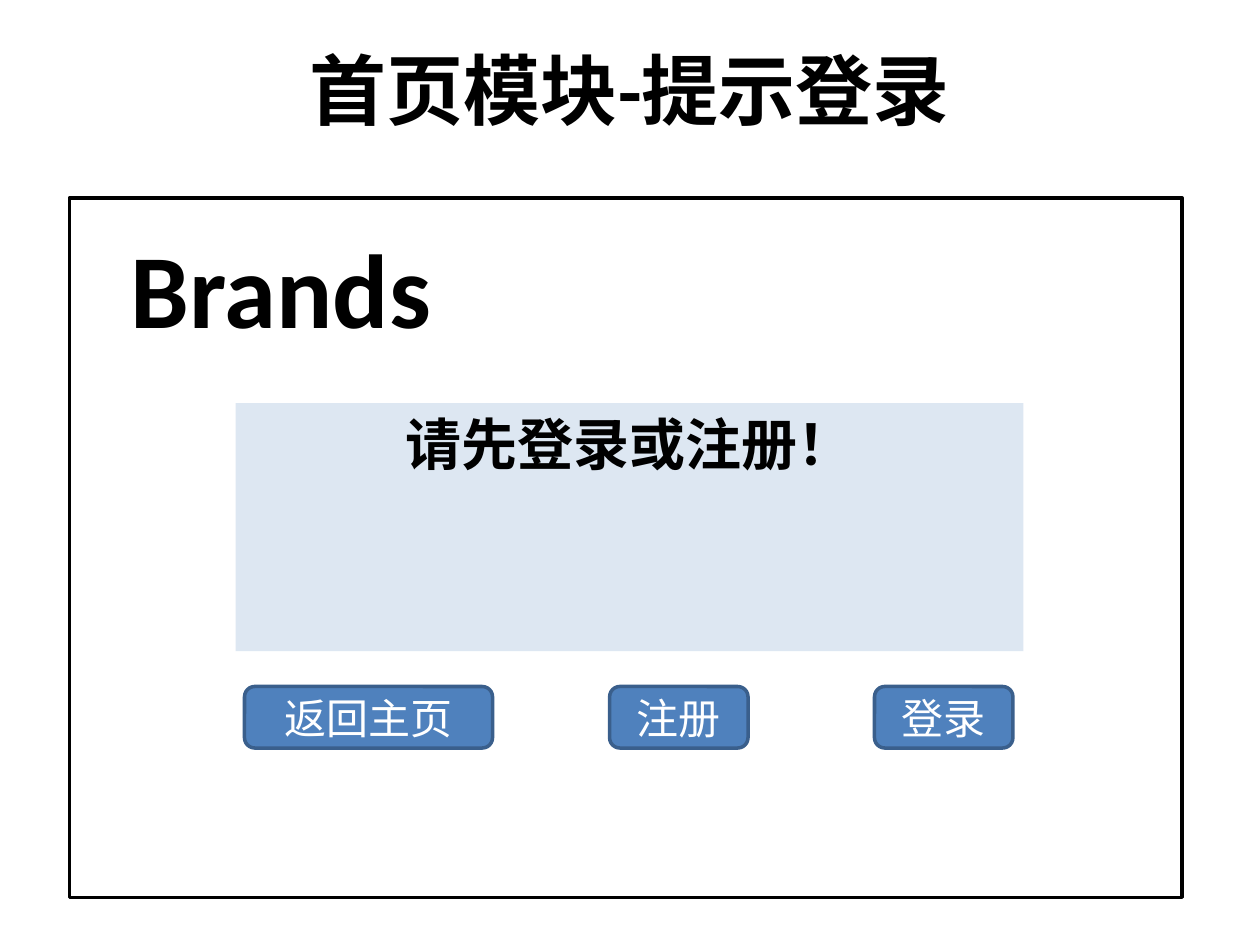
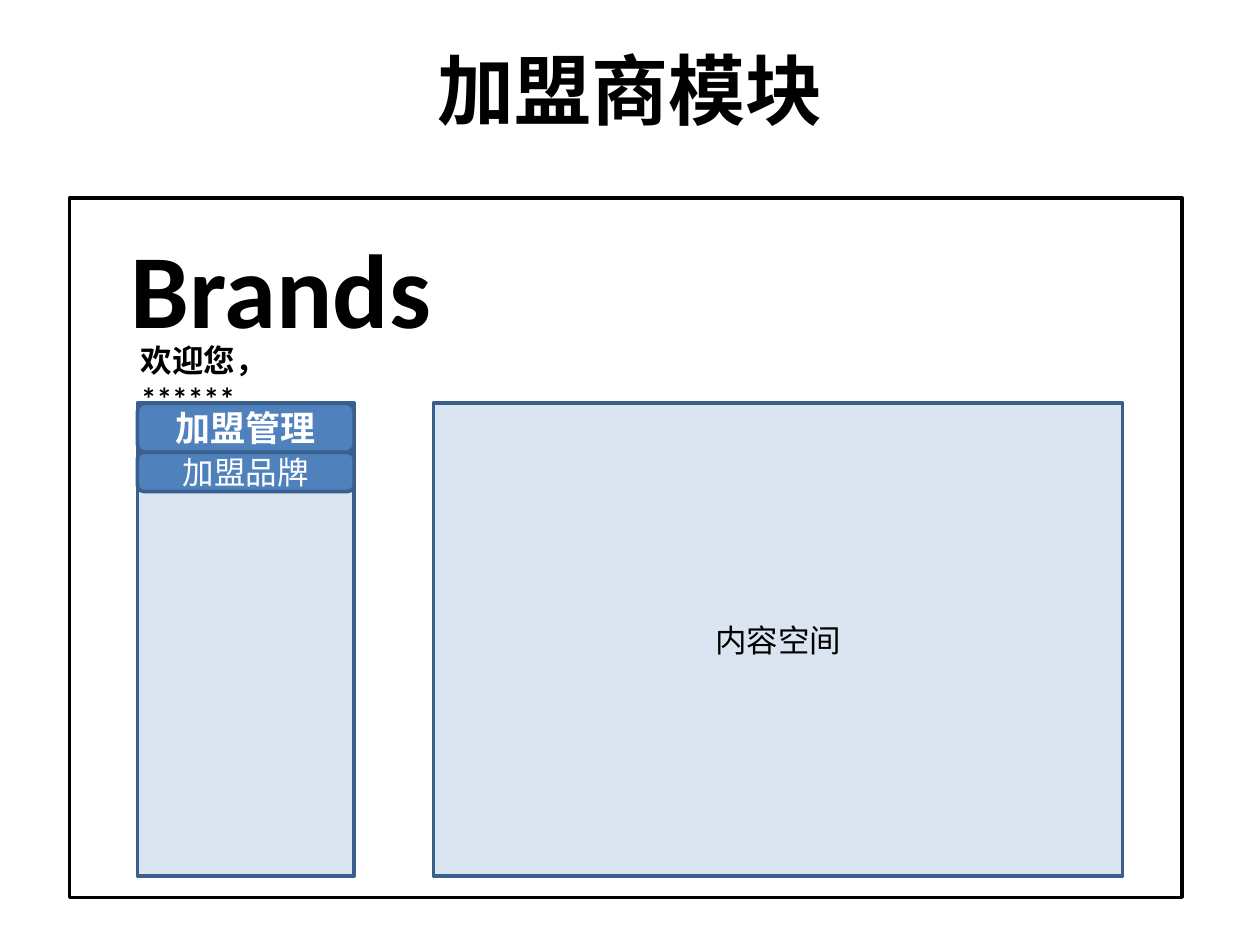
"""Build two wireframe slides for a brand franchise website."""
from dataclasses import dataclass

from lxml import etree
from pptx import Presentation
from pptx.dml.color import RGBColor
from pptx.enum.shapes import MSO_SHAPE
from pptx.enum.text import MSO_ANCHOR, PP_ALIGN
from pptx.oxml.ns import qn
from pptx.util import Cm, Pt

RECTANGLE = MSO_SHAPE.RECTANGLE
ROUNDED = MSO_SHAPE.ROUNDED_RECTANGLE
TOP, MIDDLE = MSO_ANCHOR.TOP, MSO_ANCHOR.MIDDLE
LEFT, CENTER = PP_ALIGN.LEFT, PP_ALIGN.CENTER

BLACK = RGBColor(0x00, 0x00, 0x00)
WHITE = RGBColor(0xFF, 0xFF, 0xFF)
BLUE = RGBColor(0x4F, 0x81, 0xBD)
DARK_BLUE = RGBColor(0x3A, 0x5F, 0x8C)
FONT = "Calibri"
LINE_WIDTH = Pt(2)
TITLE_ONLY = 5


@dataclass(frozen=True)
class Area:
    """Position and size in centimetres."""
    left: float
    top: float
    width: float
    height: float

    def lengths(self) -> tuple:
        """Return the four values as lengths."""
        return Cm(self.left), Cm(self.top), Cm(self.width), Cm(self.height)


@dataclass(frozen=True)
class Label:
    """Text with its look and placement."""
    text: str
    size: int
    bold: bool = False
    color: RGBColor = BLACK
    align: PP_ALIGN = CENTER
    anchor: MSO_ANCHOR = MIDDLE


@dataclass(frozen=True)
class Box:
    """A filled or outlined shape that may carry a label."""
    area: Area
    kind: MSO_SHAPE = RECTANGLE
    fill: RGBColor | None = None
    opacity: int = 100
    line: RGBColor | None = DARK_BLUE
    label: Label | None = None


TITLE_AREA = Area(1.27, 0.2, 22.86, 3.18)
BRAND_AREA = Area(2.39, 4.39, 7.34, 2.82)
BRAND = Label("Brands", 60, True, align=LEFT, anchor=TOP)
FRAME = Box(Area(1.4, 3.99, 22.43, 14.1), line=BLACK)
PANEL_TOP, PANEL_HEIGHT = 8.13, 9.53
MENU_LEFT, MENU_WIDTH = 2.77, 4.37
BUTTON_TOP, BUTTON_HEIGHT = 13.84, 1.24


def write_label(text_frame, label: Label) -> None:
    """Write one formatted run into a text frame."""
    text_frame.word_wrap = True
    text_frame.vertical_anchor = label.anchor
    paragraph = text_frame.paragraphs[0]
    paragraph.alignment = label.align
    run = paragraph.add_run()
    run.text = label.text
    run.font.name = FONT
    run.font.size = Pt(label.size)
    run.font.bold = label.bold
    run.font.color.rgb = label.color


def add_box(slide, box: Box) -> None:
    """Draw a box with its fill, outline and label."""
    shape = slide.shapes.add_shape(box.kind, *box.area.lengths())
    shape.shadow.inherit = False
    if box.fill is None:
        shape.fill.background()
    else:
        shape.fill.solid()
        shape.fill.fore_color.rgb = box.fill
        if box.opacity < 100:
            color = shape.fill._xPr.find(qn("a:solidFill"))[0]
            etree.SubElement(color, qn("a:alpha"), val=str(box.opacity * 1000))
    if box.line is None:
        shape.line.fill.background()
    else:
        shape.line.color.rgb = box.line
        shape.line.width = LINE_WIDTH
    if box.label:
        write_label(shape.text_frame, box.label)


def add_text(slide, area: Area, label: Label, margin_right: float = 0.25) -> None:
    """Add a text box with a given right margin in centimetres."""
    text_frame = slide.shapes.add_textbox(*area.lengths()).text_frame
    text_frame.margin_right = Cm(margin_right)
    write_label(text_frame, label)


def button(area: Area, text: str, size: int, bold: bool = False) -> Box:
    """Describe a blue rounded button."""
    return Box(area, ROUNDED, BLUE, label=Label(text, size, bold, WHITE))


def panel(left: float, width: float, label: Label | None = None) -> Box:
    """Describe a pale outlined panel."""
    area = Area(left, PANEL_TOP, width, PANEL_HEIGHT)
    return Box(area, fill=BLUE, opacity=20, label=label)


def add_page(presentation, title: str):
    """Add a slide with its title, brand name and page frame."""
    slide = presentation.slides.add_slide(presentation.slide_layouts[TITLE_ONLY])
    placeholder = slide.shapes.title
    (placeholder.left, placeholder.top,
     placeholder.width, placeholder.height) = TITLE_AREA.lengths()
    write_label(placeholder.text_frame, Label(title, 44, True))
    add_text(slide, BRAND_AREA, BRAND)
    add_box(slide, FRAME)
    return slide


def build_login_prompt(presentation) -> None:
    """Build the page that asks the visitor to log in."""
    slide = add_page(presentation, "首页模块-提示登录")
    prompt = Label("请先登录或注册！", 32, True, anchor=TOP)
    add_box(slide, Box(Area(4.75, PANEL_TOP, 15.88, 5.0), fill=BLUE,
                       opacity=19, line=None, label=prompt))
    for left, width, text in (
        (4.93, 5.0, "返回主页"),
        (12.29, 2.79, "注册"),
        (17.63, 2.79, "登录"),
    ):
        area = Area(left, BUTTON_TOP, width, BUTTON_HEIGHT)
        add_box(slide, button(area, text, 24))


def build_franchise_page(presentation) -> None:
    """Build the franchisee page with its menu and content area."""
    slide = add_page(presentation, "加盟商模块")
    add_box(slide, panel(MENU_LEFT, MENU_WIDTH))
    welcome = Label("欢迎您，******", 18, True, align=LEFT, anchor=TOP)
    add_text(slide, Area(2.59, 6.76, 5.0, 1.02), welcome, margin_right=1.2)
    top = PANEL_TOP
    for text, size, bold, height in (
        ("加盟管理", 20, True, 0.99),
        ("加盟品牌", 18, False, 0.79),
    ):
        add_box(slide, button(Area(MENU_LEFT, top, MENU_WIDTH, height), text, size, bold))
        top += height
    add_box(slide, panel(8.74, 13.89, Label("内容空间", 18)))


def main() -> None:
    """Create and save the presentation."""
    presentation = Presentation()
    presentation.slide_width = Cm(25.4)
    presentation.slide_height = Cm(19.05)
    build_login_prompt(presentation)
    build_franchise_page(presentation)
    presentation.save("out.pptx")


main()
